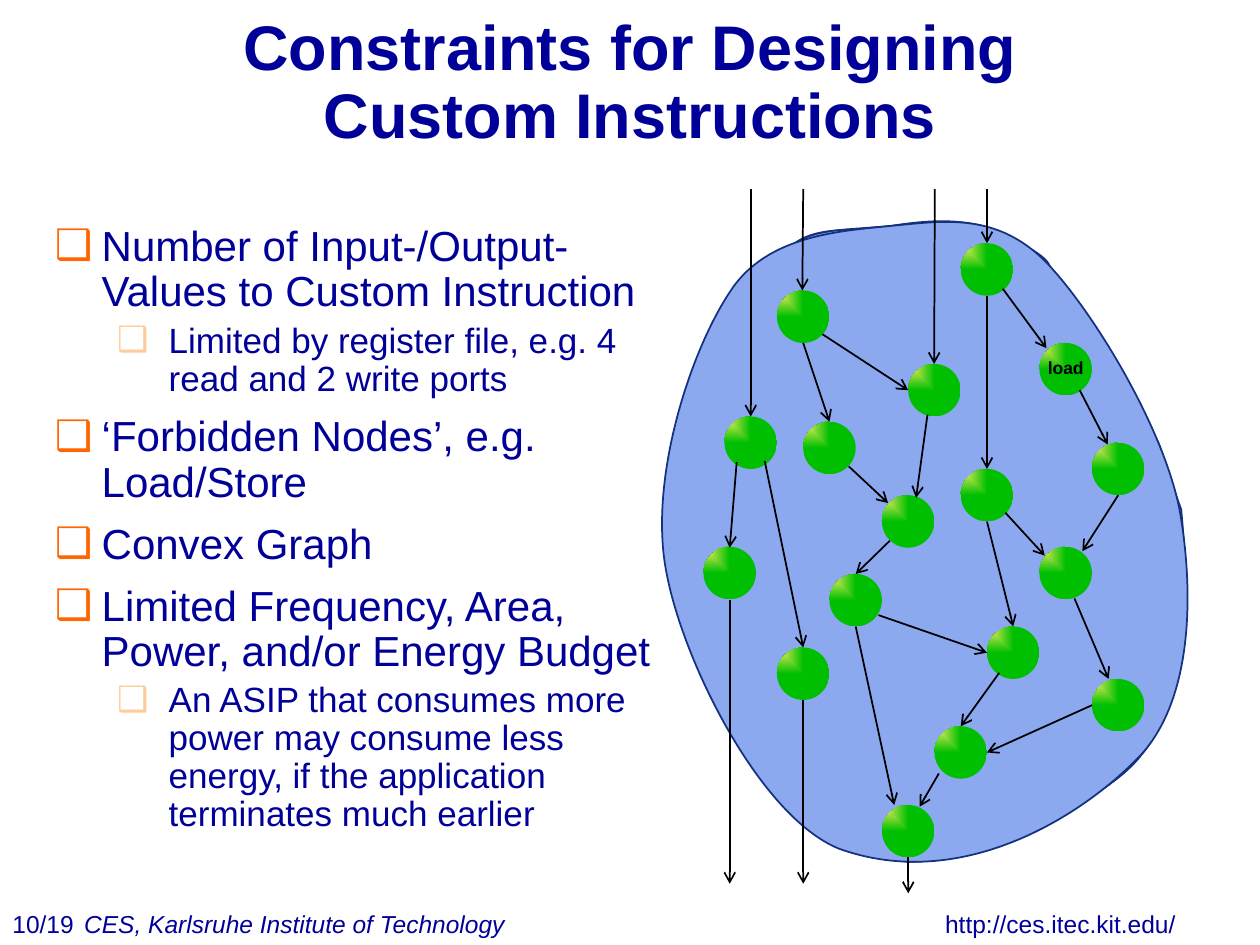
from pptx import Presentation
from pptx.dml.color import RGBColor
from pptx.enum.shapes import MSO_CONNECTOR, MSO_SHAPE
from pptx.enum.text import MSO_ANCHOR, MSO_AUTO_SIZE, PP_ALIGN
from pptx.oxml.ns import qn
from pptx.util import Pt
from lxml.etree import SubElement

HUES = {"navy": "000099", "orange": "FF6600", "peach": "FFCC99",
        "blob": "8CA8EE", "edge": "13317E", "glow": "FFF066",
        "green": "00BF00", "black": "000000"}
SIZE = 30
TOP = 108
END = 505

LEVELS = [(24, 27.2, 26.8, 9.6, "orange"), (20, 65.5, 29.5, 4, "peach")]
ITEMS = [
    (0, "Number of Input-/Output-Values to Custom Instruction"),
    (1, "Limited by register file, e.g. 4 read and 2 write ports"),
    (0, "‘Forbidden Nodes’, e.g. Load/Store"),
    (0, "Convex Graph"),
    (0, "Limited Frequency, Area, Power, and/or Energy Budget"),
    (1, "An ASIP that consumes more power may consume less energy, "
        "if the application terminates much earlier"),
]
FOOTS = [(41, 256, "CES, Karlsruhe Institute of Technology", True),
         (533, 147, "http://ces.itec.kit.edu/", False),
         (0, 51, "10/19", False)]

BLOBS = [
    [(477, 291), (506, 265), (622, 207), (662, 255), (687, 306), (675, 401),
     (650, 433), (622, 465), (512, 508), (505, 483), (495, 441), (494, 442),
     (490, 410), (485, 378), (445, 305), (477, 291)],
    [(441, 167), (449, 131), (504, 136), (511, 140), (539, 156), (567, 200),
     (590, 225), (613, 251), (642, 212), (662, 256), (687, 307), (675, 403),
     (650, 434), (622, 467), (512, 510), (505, 485), (495, 443), (494, 460),
     (483, 408), (472, 354), (436, 218), (441, 167)],
    [(441, 166), (447, 122), (482, 135), (511, 129), (537, 125), (584, 134),
     (598, 149), (611, 164), (581, 205), (590, 220), (599, 235), (636, 227),
     (651, 238), (667, 257), (659, 248), (675, 291), (680, 343), (679, 402),
     (650, 434), (622, 467), (512, 509), (505, 485), (480, 415), (439, 225),
     (441, 166)],
    [(440, 167), (447, 128), (470, 133), (510, 129), (536, 125), (569, 122),
     (596, 149), (623, 176), (664, 243), (673, 291), (682, 338), (678, 402),
     (649, 434), (621, 467), (510, 509), (503, 485), (501, 484), (493, 463),
     (482, 410), (472, 357), (436, 215), (440, 167)],
    [(417, 167), (438, 134), (481, 132), (510.5, 129), (541, 126),
     (569.5, 122), (597, 149), (623.5, 176), (664.5, 243), (674, 291),
     (682.5, 338), (682, 402), (649.5, 434), (617, 467), (549, 510),
     (479.5, 485), (435, 467), (391, 380), (381, 328), (370, 274),
     (395, 200), (417, 167)],
]

NODES = [(519, 208), (549, 139), (549, 268), (594, 196, "load"), (444, 166),
         (414, 238), (444, 370), (459, 241), (504, 460), (504, 283),
         (534, 415), (564, 358), (594, 312.5), (624, 253), (624, 388),
         (402, 312.5), (474, 328)]

EDGES = [
    (429, TOP, 429, 238), (459, TOP, 458.5, 166), (534.2, TOP, 533.8, 208),
    (564, TOP, 564, 139), (470, 191, 519, 223), (573, 165, 598, 199),
    (617, 223, 633, 254), (639, 283, 618.5, 315), (564, 298, 579, 358),
    (574.5, 293, 597, 317.5), (614, 342, 633.5, 388), (624, 403, 564, 430),
    (571, 384.5, 549, 415), (530, 237, 523.5, 284.5), (459, 196, 474, 241),
    (489, 358, 511, 460), (421, 264, 417, 313), (437, 263.5, 459, 370),
    (485, 266.5, 507.5, 287.5), (536.5, 442, 525.5, 461),
    (502, 351.5, 564, 373), (508.5, 309, 489, 328), (564, 169, 564, 268),
    (459, 400, 459, END), (417, 343, 417, END), (519, 490, 519, 510.5),
]


def hue(name):
    return RGBColor.from_string(HUES[name])


def style(para, size, color="navy", bold=False, slant=False):
    para.line_spacing = 0.9
    font = para.font
    font.name, font.size = "Arial", Pt(size)
    font.bold, font.italic = bold, slant
    font.color.rgb = hue(color)


def add_box(slide, left, top, width, height, wrap=False):
    frame = slide.shapes.add_textbox(
        Pt(left), Pt(top), Pt(width), Pt(height)).text_frame
    frame.word_wrap = wrap
    return frame


def add_title(slide, text):
    frame = add_box(slide, 0, 0, 720, 96.5)
    frame.margin_left = frame.margin_right = 0
    frame.margin_top = frame.margin_bottom = 0
    frame.vertical_anchor = MSO_ANCHOR.MIDDLE
    para = frame.paragraphs[0]
    para.text = text
    para.alignment = PP_ALIGN.CENTER
    style(para, 36, bold=True)


def add_foot(slide, left, width, text, slant):
    frame = add_box(slide, left, 517.8, width, 22.3)
    frame.auto_size = MSO_AUTO_SIZE.SHAPE_TO_FIT_TEXT
    para = frame.paragraphs[0]
    para.text = text
    style(para, 14, slant=slant)


def add_list(slide):
    frame = add_box(slide, 23.8, 125.2, 359, 396.7, True)
    for count, (level, text) in enumerate(ITEMS):
        para = frame.add_paragraph() if count else frame.paragraphs[0]
        size, margin, hang, gap, color = LEVELS[level]
        para.text = text
        para.level = level
        para.space_before = Pt(gap)
        style(para, size)
        props = para._p.get_or_add_pPr()
        props.set("marL", str(Pt(margin)))
        props.set("indent", str(-Pt(hang)))
        tint = SubElement(props, qn("a:buClr"))
        SubElement(tint, qn("a:srgbClr"), val=HUES[color])
        SubElement(props, qn("a:buFont"), typeface="Arial")
        SubElement(props, qn("a:buChar"), char="❑")
        props.append(props.find(qn("a:defRPr")))


def bend(blob):
    legs = list(blob._element.iter(qn("a:lnTo")))
    for first, second, third in zip(*[iter(legs)] * 3):
        for leg in (second, third):
            first.append(leg[0])
            leg.getparent().remove(leg)
        first.tag = qn("a:cubicBezTo")


def add_blob(slide, knots):
    start, *rest = [(Pt(x), Pt(y)) for x, y in knots]
    pen = slide.shapes.build_freeform(*start)
    pen.add_line_segments(rest, close=True)
    blob = pen.convert_to_shape()
    bend(blob)
    blob.shadow.inherit = False
    blob.fill.solid()
    blob.fill.fore_color.rgb = hue("blob")
    blob.line.color.rgb = hue("edge")
    blob.line.width = Pt(1)


def add_node(slide, left, top, text=""):
    node = slide.shapes.add_shape(MSO_SHAPE.ROUNDED_RECTANGLE,
                                  Pt(left), Pt(top), Pt(SIZE), Pt(SIZE))
    node.adjustments[0] = 0.5
    node.shadow.inherit = False
    node.line.fill.background()
    node.fill.gradient()
    for stop, name in zip(node.fill.gradient_stops, ("glow", "green")):
        stop.color.rgb = hue(name)
    grad = node._element.spPr.find(qn("a:gradFill"))
    grad.remove(grad.find(qn("a:lin")))
    shade = SubElement(grad, qn("a:path"))
    shade.set("path", "rect")
    SubElement(shade, qn("a:fillToRect"), l="0", t="0", r="100000", b="100000")
    if text:
        frame = node.text_frame
        frame.word_wrap = False
        frame.margin_left = frame.margin_right = 0
        para = frame.paragraphs[0]
        para.text = text
        para.alignment = PP_ALIGN.CENTER
        style(para, 10, "black", bold=True)


def add_edge(slide, *ends):
    edge = slide.shapes.add_connector(MSO_CONNECTOR.STRAIGHT, *map(Pt, ends))
    edge.line.color.rgb = hue("black")
    edge.line.width = Pt(1)
    SubElement(edge.line._get_or_add_ln(), qn("a:tailEnd"), type="arrow")
    SubElement(edge._element.spPr, qn("a:effectLst"))


def main():
    deck = Presentation()
    deck.slide_width, deck.slide_height = Pt(720), Pt(540)
    slide = deck.slides.add_slide(deck.slide_layouts[6])
    for foot in FOOTS:
        add_foot(slide, *foot)
    for knots in BLOBS:
        add_blob(slide, knots)
    add_title(slide, "Constraints for Designing\vCustom Instructions")
    add_list(slide)
    for node in NODES:
        add_node(slide, *node)
    for ends in EDGES:
        add_edge(slide, *ends)
    deck.save("out.pptx")


main()
